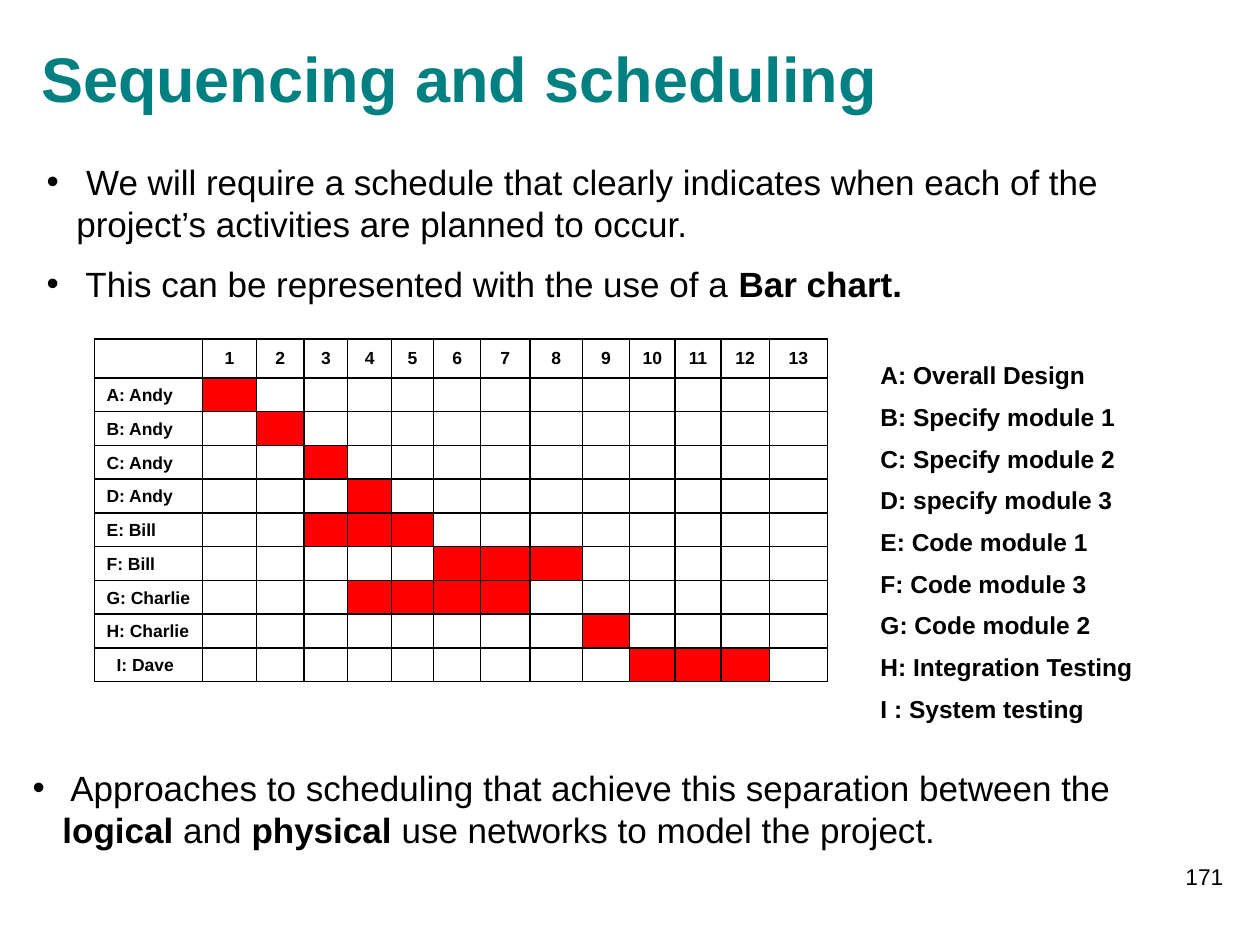
from dataclasses import dataclass

from lxml.etree import SubElement
from pptx import Presentation
from pptx.dml.color import RGBColor
from pptx.enum.text import MSO_ANCHOR, PP_ALIGN
from pptx.oxml.ns import qn
from pptx.util import Cm, Pt


@dataclass(frozen=True)
class Theme:
    font: str = "Arial"
    teal: str = "008080"
    black: str = "000000"
    white: str = "FFFFFF"
    red: str = "FF0000"
    title: int = 36
    body: int = 20
    legend: int = 14
    page: int = 13
    cell: int = 10
    hang: float = 0.6
    border: float = 1


def write(frame, text, size, theme, color=None, bold=False, align=PP_ALIGN.LEFT, bullet=False):
    """Fill a frame, one paragraph per line; words between asterisks are bold."""
    for index, line in enumerate(text.split("\n")):
        para = frame.add_paragraph() if index else frame.paragraphs[0]
        para.alignment = align
        if index:
            para.space_before = Pt(size / 2)
        if bullet:
            add_bullet(para, theme.hang)
        for part, words in enumerate(line.split("*")):
            if not words:
                continue
            run = para.add_run()
            run.text = words
            font = run.font
            font.name, font.size = theme.font, Pt(size)
            font.bold = bold or part % 2 == 1
            font.color.rgb = RGBColor.from_string(color or theme.black)
        if not line:
            SubElement(para._p, qn("a:endParaRPr"), sz=str(size * 100))


def add_bullet(para, hang):
    props = para._p.get_or_add_pPr()
    props.set("marL", str(Cm(hang)))
    props.set("indent", str(-Cm(hang)))
    SubElement(props, qn("a:buFont"), typeface="Arial")
    SubElement(props, qn("a:buChar"), char="•")


def add_border(cell, color, width):
    props = cell._tc.get_or_add_tcPr()
    for side in ("lnL", "lnR", "lnT", "lnB"):
        line = SubElement(props, qn(f"a:{side}"), w=str(Pt(width)))
        fill = SubElement(line, qn("a:solidFill"))
        SubElement(fill, qn("a:srgbClr"), val=color)


class Page:
    def __init__(self, slide, theme):
        self.slide = slide
        self.theme = theme

    def text(self, place, text, size, anchor=MSO_ANCHOR.TOP, **style):
        frame = self.slide.shapes.add_textbox(*map(Cm, place)).text_frame
        frame.word_wrap = True
        frame.vertical_anchor = anchor
        write(frame, text, size, self.theme, **style)

    def gantt(self, left, top, widths, head, height, tasks):
        """Draw a table whose red cells span each task's first to last week."""
        theme = self.theme
        shape = self.slide.shapes.add_table(
            len(tasks) + 1, len(widths), Cm(left), Cm(top),
            Cm(sum(widths)), Cm(head + height * len(tasks)))
        table = shape.table
        table.first_row = table.horz_banding = False
        for column, width in zip(table.columns, widths):
            column.width = Cm(width)
        for index, row in enumerate(table.rows):
            row.height = Cm(height if index else head)

        weeks = range(1, len(widths))
        for week in weeks:
            self.cell(table.cell(0, week), str(week), align=PP_ALIGN.CENTER)
        self.cell(table.cell(0, 0))
        for row, (name, first, last, inset) in enumerate(tasks, 1):
            label = table.cell(row, 0)
            self.cell(label, name, anchor=MSO_ANCHOR.BOTTOM)
            label.margin_left = Cm(inset)
            for week in weeks:
                busy = first <= week <= last
                self.cell(table.cell(row, week), fill=theme.red if busy else theme.white)

    def cell(self, cell, text="", fill=None, anchor=MSO_ANCHOR.MIDDLE, **style):
        theme = self.theme
        cell.margin_left = cell.margin_right = 0
        cell.vertical_anchor = anchor
        add_border(cell, theme.black, theme.border)
        cell.fill.solid()
        cell.fill.fore_color.rgb = RGBColor.from_string(fill or theme.white)
        write(cell.text_frame, text, theme.cell, theme, bold=True, **style)


INTRO = """ We will require a schedule that clearly indicates when each of the project’s activities are planned to occur.
 This can be represented with the use of a *Bar chart.*"""
LEGEND = """A: Overall Design
B: Specify module 1
C: Specify module 2
D: specify module 3
E: Code module 1
F: Code module 3
G: Code module 2
H: Integration Testing
I : System testing"""
CLOSE = (" Approaches to scheduling that achieve this separation between the "
         "*logical* and *physical* use networks to model the project.")
WIDTHS = [2.18, 1.09, 0.96, 0.88, 0.88, 0.85, 0.95, 0.99, 1.06, 0.95, 0.92, 0.92, 0.98, 1.17]
TASKS = [  # name, first week, last week, left inset
    ("A: Andy", 1, 1, 0.25),
    ("B: Andy", 2, 2, 0.25),
    ("C: Andy", 3, 3, 0.25),
    ("D: Andy", 4, 4, 0.25),
    ("E: Bill", 3, 5, 0.25),
    ("F: Bill", 6, 8, 0.25),
    ("G: Charlie", 4, 7, 0.25),
    ("H: Charlie", 9, 9, 0.25),
    ("I: Dave", 10, 12, 0.45),
]


def main():
    deck = Presentation()
    deck.slide_width, deck.slide_height = Cm(25.4), Cm(19.05)
    theme = Theme()
    page = Page(deck.slides.add_slide(deck.slide_layouts[6]), theme)
    page.text((0.58, 0.38, 20.4, 2.36), "Sequencing and scheduling", theme.title,
              anchor=MSO_ANCHOR.MIDDLE, color=theme.teal, bold=True)
    page.text((0.69, 3.12, 22.4, 3.23), INTRO, theme.body, bullet=True)
    page.gantt(1.9, 6.83, WIDTHS, 0.79, 0.68, TASKS)
    page.text((17.5, 7.14, 7.39, 7.92), LEGEND, theme.legend, bold=True)
    page.text((0.41, 15.32, 24.51, 1.96), CLOSE, theme.body, bullet=True)
    page.text((19.63, 17.27, 5.28, 1.27), "171", theme.page, align=PP_ALIGN.RIGHT)
    deck.save("out.pptx")


if __name__ == "__main__":
    main()
